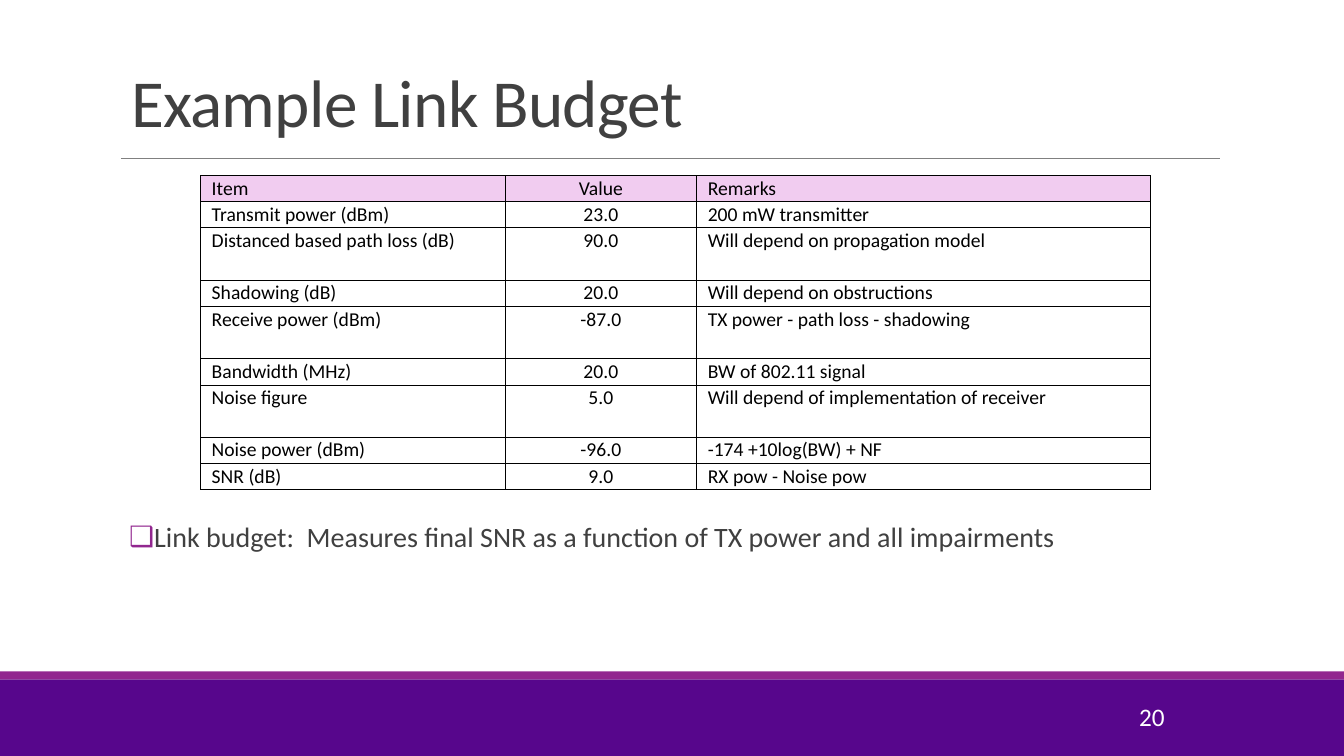
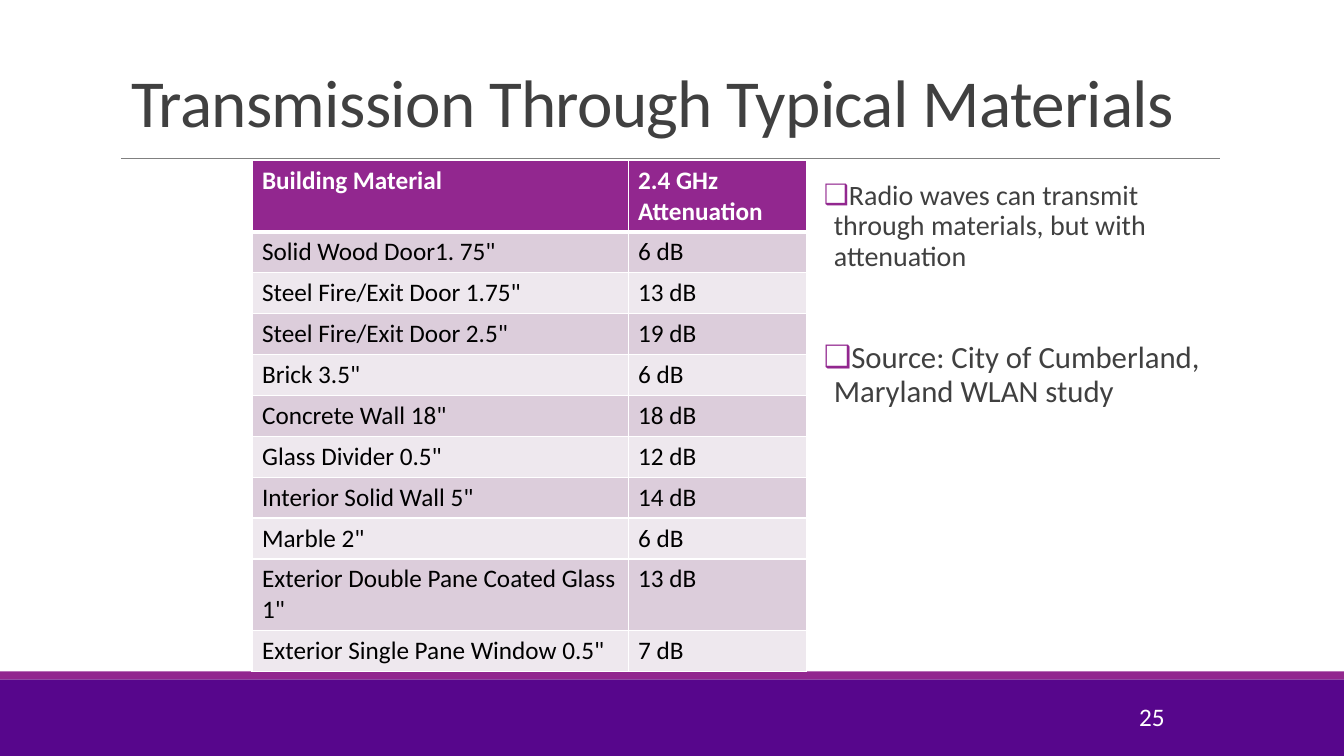
from lxml.etree import SubElement
from pptx import Presentation
from pptx.dml.color import RGBColor
from pptx.enum.shapes import MSO_CONNECTOR as Connector, MSO_SHAPE as Shape
from pptx.enum.text import MSO_ANCHOR as Anchor, MSO_AUTO_SIZE as AutoSize, PP_ALIGN as Align
from pptx.oxml.ns import qn
from pptx.util import Inches, Pt

VIOLET = RGBColor(0x57, 0x06, 0x8C)
PURPLE = RGBColor(0x92, 0x27, 0x8F)
PINK = RGBColor(0xF1, 0xCC, 0xF0)
MAUVE = RGBColor(0xDC, 0xCD, 0xDB)
PALE_MAUVE = RGBColor(0xEE, 0xE8, 0xEE)
DARK_GRAY = RGBColor(0x40, 0x40, 0x40)
GRAY = RGBColor(0x80, 0x80, 0x80)
WHITE = RGBColor(0xFF, 0xFF, 0xFF)
BLACK = RGBColor(0, 0, 0)

LINK_BUDGET = [
    ("Item", "Value", "Remarks"),
    ("Transmit power (dBm)", "23.0", "200 mW transmitter"),
    ("Distanced based path loss (dB)", "90.0", "Will depend on propagation model"),
    ("Shadowing (dB)", "20.0", "Will depend on obstructions"),
    ("Receive power (dBm)", "-87.0", "TX power - path loss - shadowing"),
    ("Bandwidth (MHz)", "20.0", "BW of 802.11 signal"),
    ("Noise figure", "5.0", "Will depend of implementation of receiver"),
    ("Noise power (dBm)", "-96.0", "-174 +10log(BW) + NF"),
    ("SNR (dB)", "9.0", "RX pow - Noise pow"),
]
TALL_BUDGET_ROWS = (2, 4, 6)

ATTENUATION = [
    ("Building Material", "2.4 GHz Attenuation"),
    ('Solid Wood Door1. 75"', "6 dB"),
    ('Steel Fire/Exit Door 1.75"', "13 dB"),
    ('Steel Fire/Exit Door 2.5"', "19 dB"),
    ('Brick 3.5"', "6 dB"),
    ('Concrete Wall 18"', "18 dB"),
    ('Glass Divider 0.5"', "12 dB"),
    ('Interior Solid Wall 5"', "14 dB"),
    ('Marble 2"', "6 dB"),
    ('Exterior Double Pane Coated Glass 1"', "13 dB"),
    ('Exterior Single Pane Window 0.5"', "7 dB"),
]


class Deck:
    font = "Calibri"

    def __init__(self):
        self.prs = Presentation()
        self.prs.slide_width = Inches(13.33)
        self.prs.slide_height = Inches(7.5)
        self.slide = None

    def new_slide(self, title, number):
        self.slide = self.prs.slides.add_slide(self.prs.slide_layouts[1])
        self.title(title)
        self.band(6.74, 0.76, VIOLET)
        self.band(6.66, 0.08, PURPLE)
        self.title_rule()
        self.page_number(number)

    def run(self, paragraph, text, size, color, bold=False):
        run = paragraph.add_run()
        run.text = text
        run.font.name = self.font
        run.font.size = Pt(size)
        run.font.bold = bold
        run.font.color.rgb = color
        return run

    def place(self, shape, left, top, width, height):
        shape.left, shape.top = Inches(left), Inches(top)
        shape.width, shape.height = Inches(width), Inches(height)
        shape.text_frame.word_wrap = True
        shape.text_frame.auto_size = AutoSize.NONE

    def title(self, text):
        heading = self.slide.shapes.title
        self.place(heading, 1.2, 0.31, 11, 1.14)
        heading.text_frame.vertical_anchor = Anchor.BOTTOM
        paragraph = heading.text_frame.paragraphs[0]
        paragraph.alignment = Align.LEFT
        paragraph.line_spacing = 0.85
        run = self.run(paragraph, text, 48, DARK_GRAY)
        run.font._element.set("spc", "-50")

    def band(self, top, height, color):
        band = self.slide.shapes.add_shape(
            Shape.RECTANGLE, 0, Inches(top), self.prs.slide_width, Inches(height))
        band.shadow.inherit = False
        band.fill.solid()
        band.fill.fore_color.rgb = color
        band.line.fill.background()

    def title_rule(self):
        rule = self.slide.shapes.add_connector(
            Connector.STRAIGHT, Inches(1.2), Inches(1.57), Inches(12.1), Inches(1.57))
        rule.line.color.rgb = GRAY
        rule.line.width = Pt(0.5)
        SubElement(rule._element.spPr, qn("a:effectLst"))

    def page_number(self, number):
        box = self.slide.shapes.add_textbox(0, 0, 0, 0)
        self.place(box, 10.22, 6.91, 1.43, 0.4)
        box.text_frame.vertical_anchor = Anchor.MIDDLE
        paragraph = box.text_frame.paragraphs[0]
        paragraph.alignment = Align.RIGHT
        self.run(paragraph, str(number), 18, WHITE)

    def bullets(self, area, items):
        body = self.slide.placeholders[1]
        self.place(body, *area)
        frame = body.text_frame
        frame.margin_left = frame.margin_right = 0
        for index, (text, size, space_before) in enumerate(items):
            paragraph = frame.add_paragraph() if index else frame.paragraphs[0]
            paragraph.line_spacing = 0.9
            paragraph.space_before = Pt(space_before)
            paragraph.space_after = Pt(2)
            self.bullet_mark(paragraph)
            self.run(paragraph, text, size, DARK_GRAY)

    def bullet_mark(self, paragraph):
        props = paragraph._p.get_or_add_pPr()
        props.set("marL", str(Inches(0.1)))
        props.set("indent", str(Inches(-0.1)))
        color = SubElement(props, qn("a:buClr"))
        SubElement(color, qn("a:srgbClr"), val=str(PURPLE))
        SubElement(props, qn("a:buChar"), char="❑")

    def table(self, left, top, widths, heights, rows, style_cell):
        table = self.slide.shapes.add_table(
            len(rows), len(widths), Inches(left), Inches(top),
            Inches(sum(widths)), Inches(sum(heights))).table
        table.first_row = table.horz_banding = False
        for column, width in zip(table.columns, widths):
            column.width = Inches(width)
        for row, height in zip(table.rows, heights):
            row.height = Inches(height)
        for r, texts in enumerate(rows):
            for c, text in enumerate(texts):
                style_cell(table.cell(r, c), r, c, text)

    def borders(self, cell, color, width, **special):
        props = cell._tc.get_or_add_tcPr()
        for side in "LRTB":
            line = SubElement(props, qn(f"a:ln{side}"), w=str(Pt(special.get(side, width))))
            fill = SubElement(line, qn("a:solidFill"))
            SubElement(fill, qn("a:srgbClr"), val=str(color))

    def fill_cell(self, cell, color):
        cell.fill.solid()
        cell.fill.fore_color.rgb = color

    def budget_cell(self, cell, row, column, text):
        centred = column == 1
        cell.margin_left = Inches(0.01 if centred else 0.11)
        cell.margin_right = cell.margin_top = Inches(0.01)
        cell.margin_bottom = 0
        self.borders(cell, BLACK, 0.5)
        if row == 0:
            self.fill_cell(cell, PINK)
        else:
            cell.fill.background()
        paragraph = cell.text_frame.paragraphs[0]
        paragraph.alignment = Align.CENTER if centred else Align.LEFT
        self.run(paragraph, text, 14, BLACK)

    def material_cell(self, cell, row, column, text):
        header = row == 0
        thick = {0: {"B": 3}, 1: {"T": 3}}.get(row, {})
        self.borders(cell, WHITE, 1, **thick)
        self.fill_cell(cell, PURPLE if header else MAUVE if row % 2 else PALE_MAUVE)
        self.run(cell.text_frame.paragraphs[0], text, 18, WHITE if header else BLACK, header)

    def save(self):
        self.prs.save("out.pptx")


def main():
    deck = Deck()

    deck.new_slide("Example Link Budget", 20)
    deck.bullets((1.28, 5.14, 10.38, 1.35), [
        ("Link budget:  Measures final SNR as a function of TX power and all impairments", 20, 12),
    ])
    budget_heights = [0.52 if row in TALL_BUDGET_ROWS else 0.26 for row in range(len(LINK_BUDGET))]
    deck.table(1.99, 1.74, (3.02, 1.9, 4.5), budget_heights, LINK_BUDGET, deck.budget_cell)

    deck.new_slide("Transmission Through Typical Materials", 25)
    deck.bullets((8.17, 1.75, 4.03, 3.08), [
        ("Radio waves can transmit through materials, but with attenuation", 20, 12),
        ("Source: City of Cumberland, Maryland WLAN study", 22, 48),
    ])
    deck.table(2.5, 1.59, (3.73, 1.77), [0.4] * len(ATTENUATION), ATTENUATION, deck.material_cell)

    deck.save()


if __name__ == "__main__":
    main()
